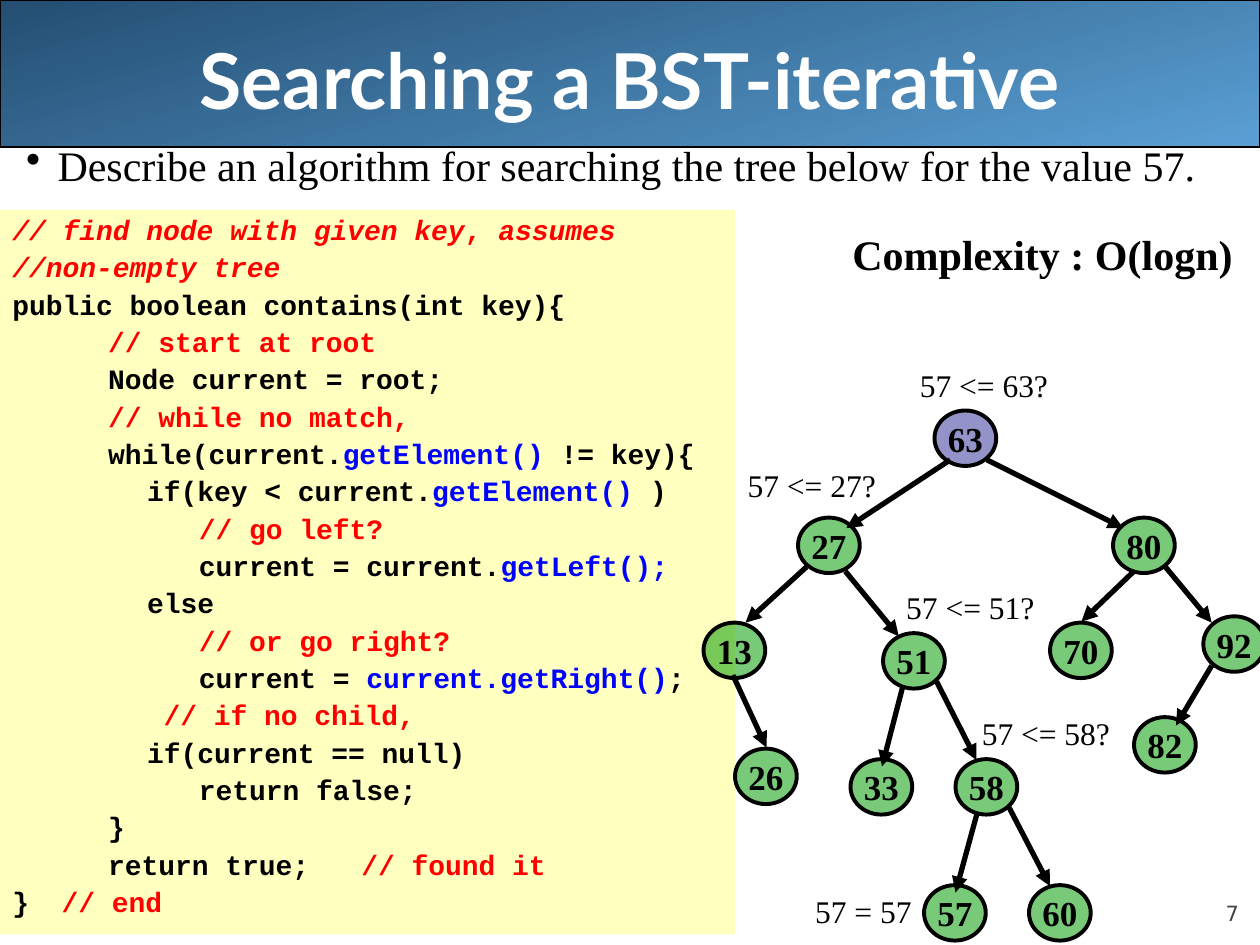
from lxml.etree import SubElement
from pptx import Presentation
from pptx.dml.color import RGBColor as Rgb
from pptx.enum.shapes import MSO_CONNECTOR as Link, MSO_SHAPE as Shape
from pptx.enum.text import MSO_ANCHOR as Anchor, PP_ALIGN as Align
from pptx.oxml.ns import qn
from pptx.util import Inches, Pt

THEME = {
    "band": ("244E72", "5A9FD4"), "panel": "FFFFC0", "ink": "000000",
    "root": "333399", "node": "009900", "node_alpha": "53000",
    "title": {"name": "Lato", "size": 44, "color": "FFFFFF", "bold": True},
    "bullet": {"name": "Times New Roman", "size": 24, "color": "000000"},
    "claim": {"name": "Times New Roman", "size": 24, "color": "000000", "bold": True},
    "key": {"name": "Times New Roman", "size": 20, "color": "000000", "bold": True},
    "step": {"name": "Times New Roman", "size": 18, "color": "000000"},
    "number": {"name": "DejaVu Sans", "size": 12, "color": "424242"},
    "code": {"name": "Courier New", "size": 16, "color": "000000", "bold": True},
}
THEME["note"] = THEME["code"] | {"color": "FF0000"}
THEME["lead"] = THEME["note"] | {"italic": True}
THEME["call"] = THEME["code"] | {"color": "0000FF"}

# Grid of 120 columns by 90 rows
deck = Presentation()
deck.slide_width, deck.slide_height = Inches(10), Inches(7.5)
CELL = deck.slide_width // 120
page = deck.slides.add_slide(deck.slide_layouts[5])


def write(para, text, style):
    span = para.add_run()
    span.text = text
    for name, value in THEME[style].items():
        if name == "color":
            span.font.color.rgb = Rgb.from_string(value)
        else:
            setattr(span.font, name, Pt(value) if name == "size" else value)


def add_text(left, top, width, height, text, style, align=Align.LEFT, **frame):
    box = page.shapes.add_textbox(*(round(n * CELL) for n in (left, top, width, height)))
    for name, value in ({"word_wrap": True} | frame).items():
        setattr(box.text_frame, name, value)
    para = box.text_frame.paragraphs[0]
    para.alignment = align
    write(para, text, style)
    return para


# Title band
band = page.shapes.add_shape(Shape.RECTANGLE, 0, 0, deck.slide_width, 14 * CELL)
band.shadow.inherit = False
band.fill.gradient()
band.fill.gradient_angle = 285
for stop, color in zip(band.fill.gradient_stops, THEME["band"]):
    stop.color.rgb = Rgb.from_string(color)
band.line.color.rgb = Rgb.from_string(THEME["ink"])
band.line.width = Pt(0.75)

# Title, lifted above the band
title = page.shapes.title
title.left, title.top, title.width, title.height = (n * CELL for n in (6, 0, 108, 15))
title.text_frame.vertical_anchor = Anchor.MIDDLE
title.text_frame.paragraphs[0].alignment = Align.CENTER
write(title.text_frame.paragraphs[0], "Searching a BST-iterative", "title")
title.element.getparent().append(title.element)

# Code panel: indent in inches, tab stops in inches, spans
BODY, INNER, DEEP = 0.76, 1.07, 1.48
CODE = [
    (0, [], [("// find node with given key", "lead"), (", ", "note"), ("assumes", "lead")]),
    (0, [], [("//non-empty tree", "lead")]),
    (0, [], [("public boolean contains(int key){", "code")]),
    (BODY, [], [("// start at root", "note")]),
    (BODY, [], [("Node current = root;", "code")]),
    (BODY, [], [("// while no match,", "note")]),
    (BODY, [], [("while(current.", "code"), ("getElement() ", "call"), ("!= key){", "code")]),
    (INNER, [], [("if(key < current.", "code"), ("getElement() ", "call"), (")", "code")]),
    (DEEP, [], [("// go left?", "note")]),
    (DEEP, [], [("current = current.", "code"), ("getLeft();", "call")]),
    (INNER, [], [("else", "code")]),
    (DEEP, [], [("// or go right?", "note")]),
    (DEEP, [], [("current = ", "code"), ("current.getRight()", "call"), (";", "code")]),
    (1.2, [], [("// if no child,", "note")]),
    (INNER, [], [("if(current == null)", "code")]),
    (DEEP, [], [("return false;", "code")]),
    (BODY, [], [("}", "code")]),
    (0, [BODY, 2.77], [("\treturn true;\t", "code"), ("// found it", "note")]),
    (0, [0.39], [("}\t", "code"), ("// end", "note")]),
]
panel = page.shapes.add_shape(Shape.RECTANGLE, 0, 20 * CELL, 70 * CELL, 69 * CELL)
panel.shadow.inherit = False
panel.fill.solid()
panel.fill.fore_color.rgb = Rgb.from_string(THEME["panel"])
panel.line.fill.background()
panel.text_frame.vertical_anchor = Anchor.TOP
for row, (indent, stops, spans) in enumerate(CODE):
    para = panel.text_frame.add_paragraph() if row else panel.text_frame.paragraphs[0]
    para.alignment, para.line_spacing, para.space_before = Align.LEFT, 0.9, Pt(4.1)
    props = para._p.get_or_add_pPr()
    props.set("marL", str(Inches(indent)))
    if stops:
        tabs = SubElement(props, qn("a:tabLst"))
        for stop in stops:
            SubElement(tabs, qn("a:tab"), pos=str(Inches(stop)), algn="l")
    for text, style in spans:
        write(para, text, style)

# Task bullet
task = add_text(1.3, 12.7, 118.7, 9,
                "Describe an algorithm for searching the tree below for the value 57.", "bullet")
props = task._p.get_or_add_pPr()
props.set("marL", str(Inches(0.25)))
props.set("indent", str(-Inches(0.25)))
SubElement(props, qn("a:buChar"), char="•")

# Tree nodes: key, column, row
NODES = [
    (63, 89, 39.1), (27, 76, 49.3), (80, 106, 49.3), (13, 67, 59.3), (51, 84.1, 60.3),
    (70, 100, 59.3), (92, 114.6, 58.7), (26, 70, 71.3), (33, 81, 72.3), (58, 91, 72.3),
    (82, 108, 68.3), (57, 88, 84.3), (60, 98, 84.3),
]
for key, column, row in NODES:
    node = page.shapes.add_shape(Shape.FLOWCHART_CONNECTOR, round(column * CELL),
                                 round(row * CELL), Inches(0.49), Inches(0.44))
    node.shadow.inherit = False
    node.fill.solid()
    node.fill.fore_color.rgb = Rgb.from_string(THEME["root" if key == 63 else "node"])
    tint = node.fill._xPr.find(qn("a:solidFill"))[0]
    SubElement(tint, qn("a:alpha"), val=THEME["node_alpha"])
    node.line.color.rgb = Rgb.from_string(THEME["ink"])
    node.line.width = Pt(2.25)
    node.text_frame.word_wrap = False
    node.text_frame.vertical_anchor = Anchor.MIDDLE
    node.text_frame.paragraphs[0].alignment = Align.CENTER
    write(node.text_frame.paragraphs[0], str(key), "key")

# Branches: start column and row, end column and row
BRANCHES = [
    (90.5, 43.8, 80.6, 50.3), (94, 43.8, 107, 50.3), (76.8, 54, 71, 59.3),
    (80.5, 54.4, 85.6, 60.6), (108, 54.4, 103, 59.2), (111, 54, 115.4, 59.3),
    (69.8, 64.3, 73, 71.2), (86, 65.3, 84, 73), (89.2, 64.9, 93, 72.4),
    (115.4, 63.4, 112, 69.1), (93.1, 77.3, 91, 85), (96.1, 76.9, 100, 84.4),
]
for ends in BRANCHES:
    branch = page.shapes.add_connector(Link.STRAIGHT, *(round(n * CELL) for n in ends))
    branch.line.color.rgb = Rgb.from_string(THEME["ink"])
    branch.line.width = Pt(3)
    SubElement(branch.line._get_or_add_ln(), qn("a:tailEnd"), type="triangle")
    SubElement(branch.element.spPr, qn("a:effectLst"))

# Comparisons made along the way
for left, top, width, text in [
    (86, 34.3, 15, "57 <= 63?"), (69.6, 43.8, 15, "57 <= 27?"),
    (84.7, 55.4, 15, "57 <= 51?"), (91.9, 67.4, 15, "57 <= 58?"), (75, 84.4, 13, "57 = 57"),
]:
    add_text(left, top, width, 4.8, text, "step", Align.RIGHT)

# Complexity and page number
claim = add_text(80, 21.7, 39, 5.6, "Complexity : O(logn)", "claim", word_wrap=False)
claim.line_spacing = 0.9
add_text(108, 83.4, 10, 4.8, "7", "number", Align.RIGHT, vertical_anchor=Anchor.BOTTOM,
         margin_left=0, margin_right=0, margin_top=0, margin_bottom=0)

deck.save("out.pptx")
